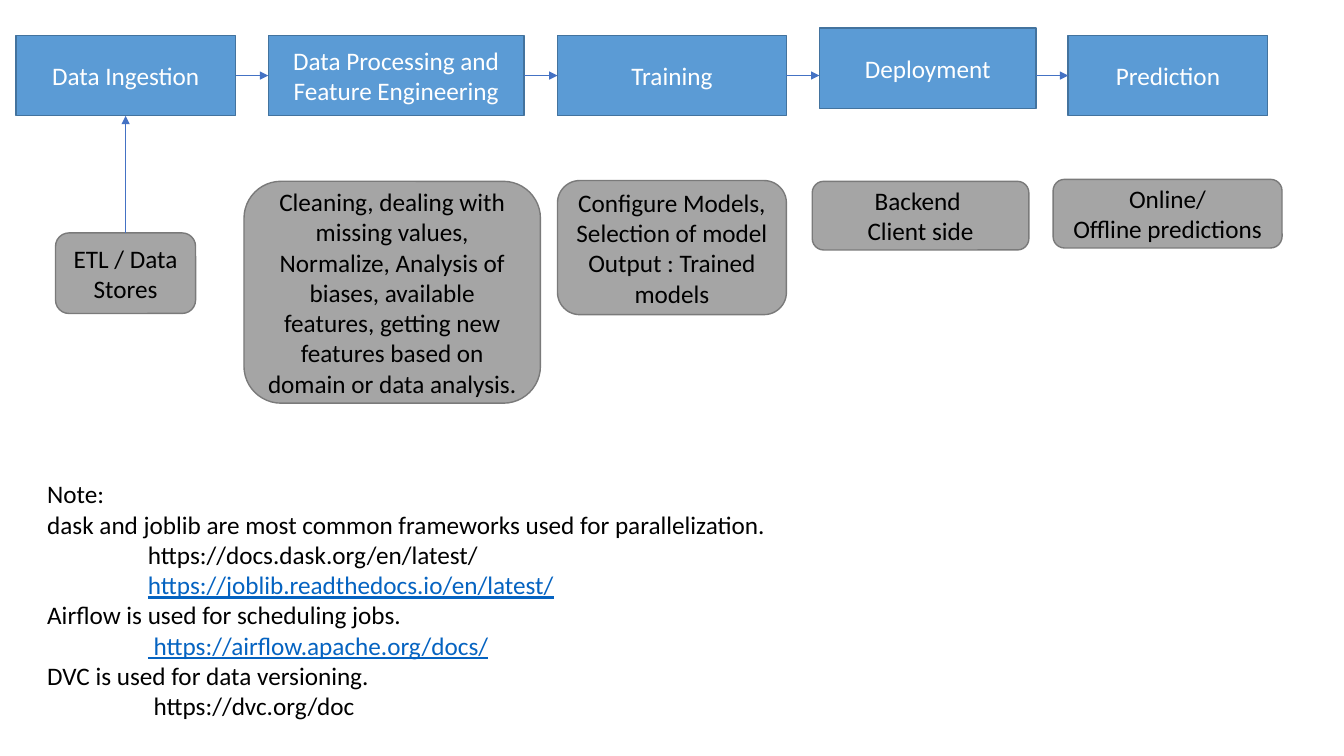
"""Build a one-slide overview of a machine learning pipeline."""
from lxml import etree
from pptx import Presentation
from pptx.dml.color import RGBColor
from pptx.enum.shapes import MSO_CONNECTOR, MSO_SHAPE
from pptx.enum.text import MSO_ANCHOR, MSO_AUTO_SIZE, PP_ALIGN
from pptx.oxml.ns import qn
from pptx.util import Cm, Pt

RECTANGLE = MSO_SHAPE.RECTANGLE
ROUNDED = MSO_SHAPE.ROUNDED_RECTANGLE
STRAIGHT = MSO_CONNECTOR.STRAIGHT
CENTER, LEFT = PP_ALIGN.CENTER, PP_ALIGN.LEFT
MIDDLE = MSO_ANCHOR.MIDDLE
FIT_SHAPE = MSO_AUTO_SIZE.SHAPE_TO_FIT_TEXT

THEME = {
    "font": {"name": "Calibri", "size": Pt(18)},
    "stage": {"fill": "5B9BD5", "line": "43739E", "text": "FFFFFF"},
    "detail": {"fill": "A5A5A5", "line": "7A7A7A", "text": "000000"},
    "arrow": "4472C4",
    "note": "000000",
    "link": "0563C1",
    "outline": Pt(1),
    "arrow_width": Pt(0.5),
}

STAGE_TOP, STAGE_HEIGHT = 0.89, 2.03
STAGES = [
    ("Data Ingestion", 0.4, STAGE_TOP, 5.54),
    ("Data Processing and Feature Engineering", 6.76, STAGE_TOP, 6.45),
    ("Training", 14.05, STAGE_TOP, 5.77),
    ("Deployment", 20.65, 0.71, 5.46),
    ("Prediction", 26.92, STAGE_TOP, 5.03),
]
DETAILS = [
    (["ETL / Data Stores"], 1.4, 5.87, 3.53, 2.03),
    (["Cleaning, dealing with missing values, Normalize, Analysis of biases, "
      "available features, getting new features based on domain or data analysis."],
     6.15, 4.57, 7.47, 5.59),
    (["Configure Models, Selection of model", "Output : Trained models"],
     14.05, 4.55, 5.77, 3.38),
    (["Backend ", "Client side"], 20.47, 4.57, 5.46, 1.73),
    (["Online/", "Offline predictions"], 26.54, 4.52, 5.77, 1.73),
]
NOTES = [
    ("Note:", 0, False),
    ("dask and joblib are most common frameworks used for parallelization.", 0, False),
    ("https://docs.dask.org/en/latest/", 2.54, False),
    ("https://joblib.readthedocs.io/en/latest/", 2.54, True),
    ("Airflow is used for scheduling jobs.", 0, False),
    (" https://airflow.apache.org/docs/", 2.54, True),
    ("DVC is used for data versioning.", 0, False),
    (" https://dvc.org/doc", 2.54, False),
]


def write_line(frame, index, text, color, alignment, underline=False):
    paragraph = frame.paragraphs[0] if index == 0 else frame.add_paragraph()
    paragraph.alignment = alignment
    run = paragraph.add_run()
    run.text = text
    for attribute, value in {**THEME["font"], "underline": underline}.items():
        setattr(run.font, attribute, value)
    run.font.color.rgb = RGBColor.from_string(color)
    return paragraph


def add_box(slide, kind, style, lines, bounds):
    shape = slide.shapes.add_shape(kind, *map(Cm, bounds))
    shape.shadow.inherit = False
    shape.fill.solid()
    shape.fill.fore_color.rgb = RGBColor.from_string(style["fill"])
    shape.line.color.rgb = RGBColor.from_string(style["line"])
    shape.line.width = THEME["outline"]
    for attribute, value in {"word_wrap": True, "vertical_anchor": MIDDLE}.items():
        setattr(shape.text_frame, attribute, value)
    for index, text in enumerate(lines):
        write_line(shape.text_frame, index, text, style["text"], CENTER)


presentation = Presentation()
presentation.slide_width = Cm(33.87)
presentation.slide_height = Cm(19.05)
slide = presentation.slides.add_slide(presentation.slide_layouts[6])

for label, left, top, width in STAGES:
    add_box(slide, RECTANGLE, THEME["stage"], [label], (left, top, width, STAGE_HEIGHT))

for lines, *bounds in DETAILS:
    add_box(slide, ROUNDED, THEME["detail"], lines, bounds)

arrow_y = STAGE_TOP + STAGE_HEIGHT / 2
arrows = [
    (left + width, arrow_y, following[1], arrow_y)
    for (label, left, top, width), following in zip(STAGES, STAGES[1:])
]
store_lines, store_left, store_top, store_width, store_height = DETAILS[0]
store_center = store_left + store_width / 2
arrows.append((store_center, store_top, store_center, STAGE_TOP + STAGE_HEIGHT))

for ends in arrows:
    arrow = slide.shapes.add_connector(STRAIGHT, *map(Cm, ends))
    arrow.line.color.rgb = RGBColor.from_string(THEME["arrow"])
    arrow.line.width = THEME["arrow_width"]
    properties = arrow.element.spPr
    etree.SubElement(properties.find(qn("a:ln")), qn("a:tailEnd"), type="triangle")
    etree.SubElement(properties, qn("a:effectLst"))

note_box = slide.shapes.add_textbox(Cm(0.94), Cm(11.94), Cm(20.45), Cm(6.4))
note_box.text_frame.word_wrap = True
note_box.text_frame.auto_size = FIT_SHAPE
for index, (text, indent, is_link) in enumerate(NOTES):
    color = THEME["link"] if is_link else THEME["note"]
    paragraph = write_line(note_box.text_frame, index, text, color, LEFT, is_link)
    paragraph._p.get_or_add_pPr().set("marL", str(Cm(indent)))

presentation.save("out.pptx")
